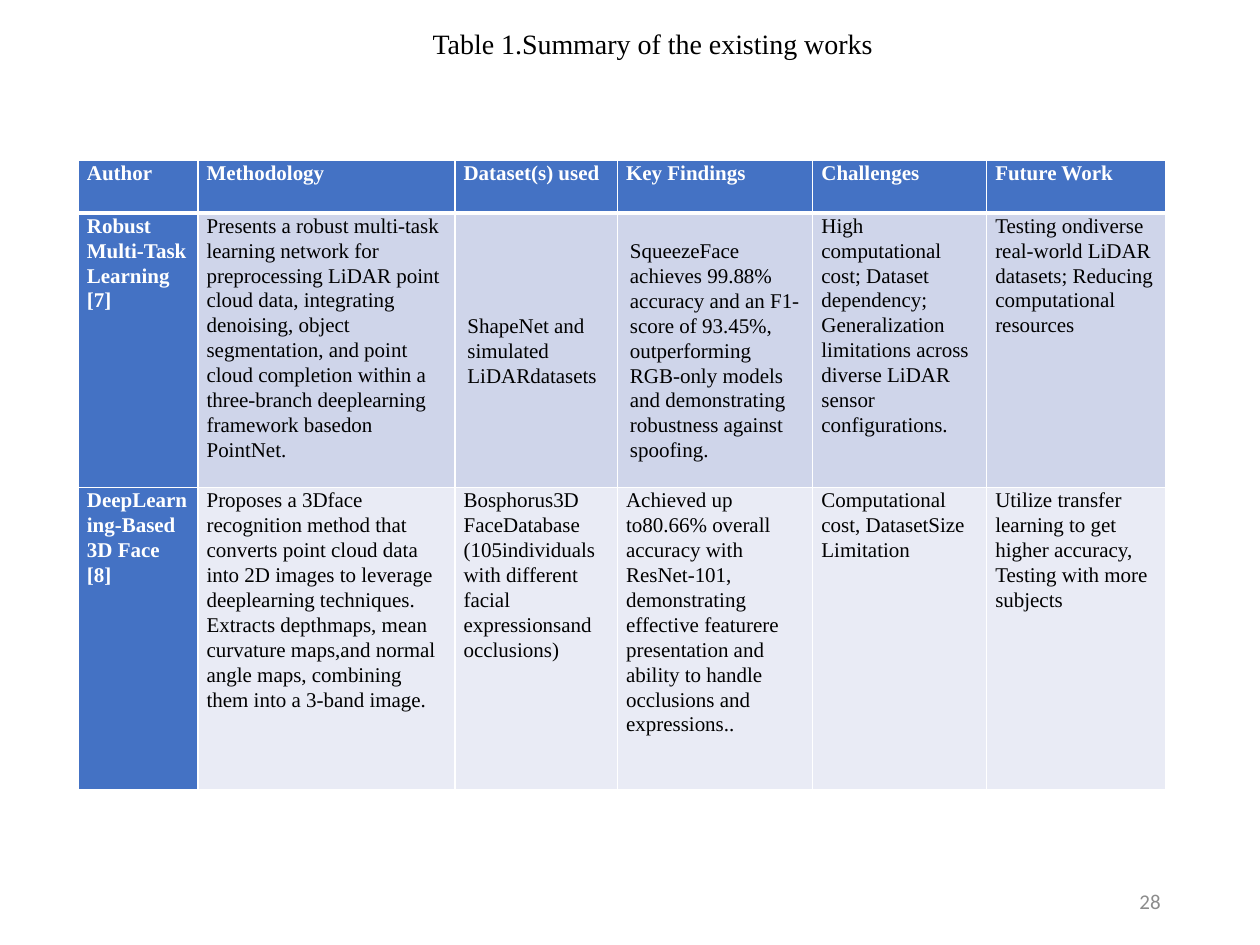
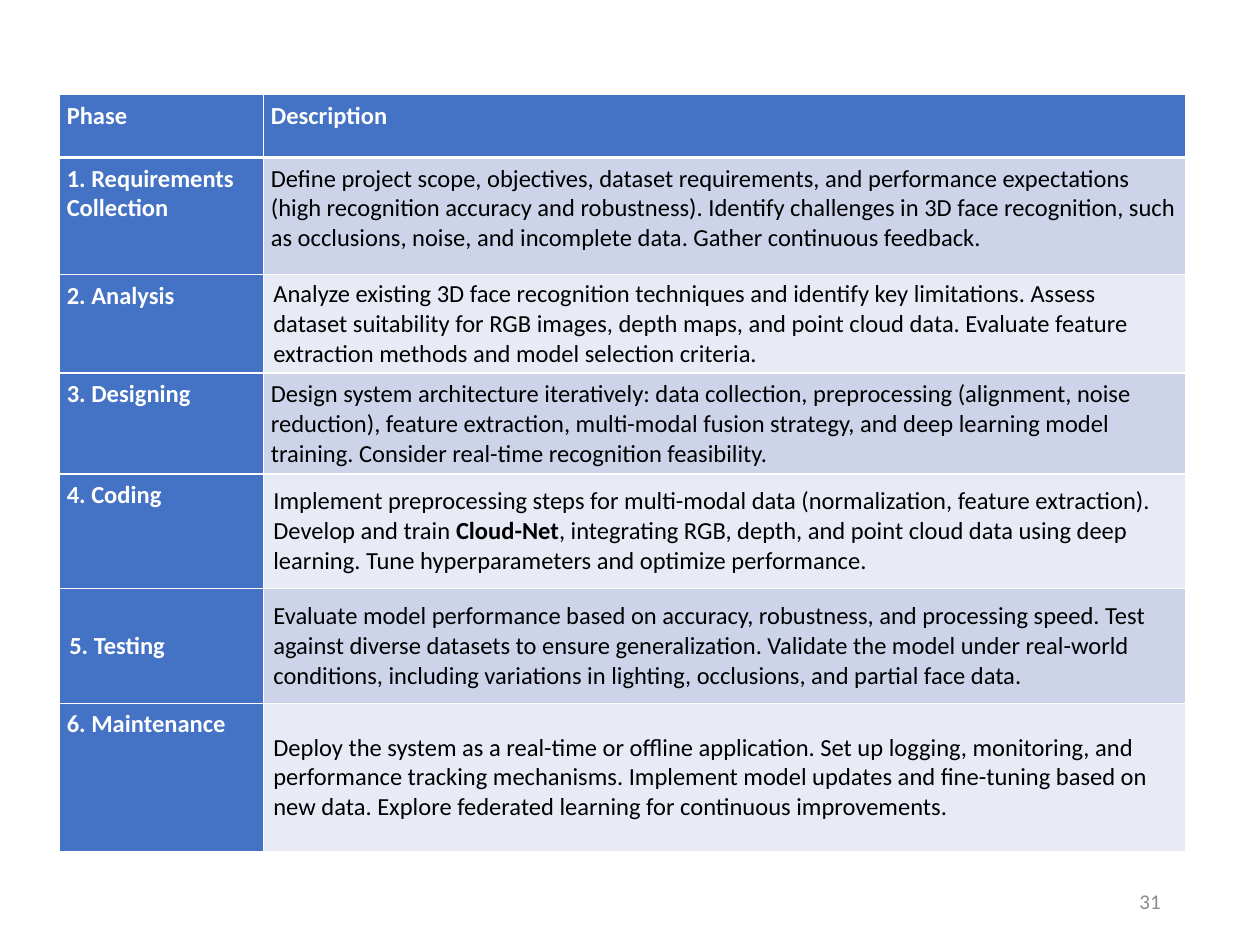
"""Build two table slides: a survey of earlier work and the project phases."""
from dataclasses import dataclass

from lxml.etree import SubElement as Sub
from pptx import Presentation as Deck
from pptx.dml.color import RGBColor as Rgb
from pptx.enum.text import MSO_ANCHOR as Anchor, PP_ALIGN as Align
from pptx.oxml.ns import qn
from pptx.util import Inches, Pt

HUE = {"head": "4472C4", "line": "FFFFFF", "light": "FFFFFF",
       "dark": "000000", "page": "8C8C8C"}
SERIF, SANS = "Times New Roman", "Calibri"


@dataclass
class Look:
    """Hold the style of one table."""
    font: str
    size: int
    bands: tuple
    rule: float
    top: tuple
    mid: tuple
    lead: float = 1
    after: int = 0


WORK = Look(SERIF, 12, ("CFD5EA", "E9EBF5"), 1, (0.07, 0), (0.1, 0.05), 1.07, 8)
PLAN = Look(SANS, 14, ("CDD4EA", "E8EBF5"), 0.8, (0.06, 0.05), (0.08, 0.04))

WORKS = [
    ["Author", "Methodology", "Dataset(s) used", "Key Findings", "Challenges",
     "Future Work"],
    ["Robust Multi-Task Learning [7]",
     "Presents a robust multi-task learning network for preprocessing LiDAR "
     "point cloud data, integrating denoising, object segmentation, and point "
     "cloud completion within a three-branch deeplearning framework basedon "
     "PointNet.",
     "ShapeNet and simulated LiDARdatasets",
     "SqueezeFace achieves 99.88% accuracy and an F1-score of 93.45%, "
     "outperforming RGB-only models and demonstrating robustness against "
     "spoofing.",
     "High computational cost; Dataset dependency; Generalization limitations "
     "across diverse LiDAR sensor configurations.",
     "Testing ondiverse real-world LiDAR datasets; Reducing computational "
     "resources"],
    ["DeepLearning-Based 3D Face [8]",
     "Proposes a 3Dface recognition method that converts point cloud data into "
     "2D images to leverage deeplearning techniques. Extracts depthmaps, mean "
     "curvature maps,and normal angle maps, combining them into a 3-band image.",
     "Bosphorus3D FaceDatabase (105individuals with different facial "
     "expressionsand occlusions)",
     "Achieved up to80.66% overall accuracy with ResNet-101, demonstrating "
     "effective featurere presentation and ability to handle occlusions and "
     "expressions..",
     "Computational cost, DatasetSize Limitation",
     "Utilize transfer learning to get higher accuracy, Testing with more "
     "subjects"],
]
PHASES = [
    ["Phase", "Description"],
    ["1. Requirements Collection",
     "Define project scope, objectives, dataset requirements, and performance "
     "expectations (high recognition accuracy and robustness). Identify "
     "challenges in 3D face recognition, such as occlusions, noise, and "
     "incomplete data. Gather continuous feedback."],
    ["2. Analysis",
     "Analyze existing 3D face recognition techniques and identify key "
     "limitations. Assess dataset suitability for RGB images, depth maps, and "
     "point cloud data. Evaluate feature extraction methods and model selection "
     "criteria."],
    ["3. Designing",
     "Design system architecture iteratively: data collection, preprocessing "
     "(alignment, noise reduction), feature extraction, multi-modal fusion "
     "strategy, and deep learning model training. Consider real-time recognition "
     "feasibility."],
    ["4. Coding",
     "Implement preprocessing steps for multi-modal data (normalization, feature "
     "extraction). Develop and train **Cloud-Net**, integrating RGB, depth, and "
     "point cloud data using deep learning. Tune hyperparameters and optimize "
     "performance."],
    ["5. Testing",
     "Evaluate model performance based on accuracy, robustness, and processing "
     "speed. Test against diverse datasets to ensure generalization. Validate the "
     "model under real-world conditions, including variations in lighting, "
     "occlusions, and partial face data."],
    ["6. Maintenance",
     "Deploy the system as a real-time or offline application. Set up logging, "
     "monitoring, and performance tracking mechanisms. Implement model updates "
     "and fine-tuning based on new data. Explore federated learning for "
     "continuous improvements."],
]


def style(run, font, size, hue, bold=False):
    """Set the font of a run."""
    run.font.name, run.font.size, run.font.bold = font, Pt(size), bold
    run.font.color.rgb = Rgb.from_string(HUE[hue])


def write(para, text, look, head):
    """Write cell text, with words between double stars in bold."""
    first, *rest = text.split("**")
    para.text = first
    for part in rest:
        para.add_run().text = part
    for i, run in enumerate(para.runs):
        style(run, look.font, look.size, "light" if head else "dark",
              head or i % 2 == 1)
    para.line_spacing, para.space_after = look.lead, Pt(look.after)


def edge(cell, widths):
    """Draw the left, right, top and bottom borders of a cell."""
    props = cell._tc.get_or_add_tcPr()
    for i, (side, width) in enumerate(zip("LRTB", widths)):
        line = Sub(props, qn(f"a:ln{side}"), w=str(Pt(width)))
        fill = Sub(line, qn("a:solidFill"))
        Sub(fill, qn("a:srgbClr"), val=HUE["line"])
        props.insert(i, line)


def paint(cell, row, col, text, look, mid):
    """Fill, frame and write one cell."""
    head = row == 0 or col == 0
    cell.fill.solid()
    hue = HUE["head"] if head else look.bands[(row - 1) % 2]
    cell.fill.fore_color.rgb = Rgb.from_string(hue)
    thin, thick = look.rule, look.rule * 3
    edge(cell, (thin, thin, thick if row == 1 else thin,
                thick if row == 0 else thin))
    side, end = look.mid if mid else look.top
    cell.margin_left = cell.margin_right = Inches(side)
    cell.margin_top = cell.margin_bottom = Inches(end)
    cell.vertical_anchor = Anchor.MIDDLE if mid else Anchor.TOP
    write(cell.text_frame.paragraphs[0], text, look, head)


def grid(slide, left, top, cols, rows, data, look, mids):
    """Add a table; mids names the cells centred from top to bottom."""
    box = (left, top, sum(cols), sum(rows))
    table = slide.shapes.add_table(len(rows), len(cols), *map(Inches, box)).table
    table.first_row = table.horz_banding = False
    for col, width in zip(table.columns, cols):
        col.width = Inches(width)
    for row, height in zip(table.rows, rows):
        row.height = Inches(height)
    for r, line in enumerate(data):
        for c, text in enumerate(line):
            paint(table.cell(r, c), r, c, text, look, (r, c) in mids)


def title(slide, text):
    """Write the table heading in the body placeholder."""
    head = slide.shapes.title._element
    head.getparent().remove(head)
    body = slide.placeholders[1]
    body.left, body.top = Inches(0.62), Inches(0.17)
    body.width, body.height = Inches(8.62), Inches(5.38)
    frame = body.text_frame
    frame.margin_left, frame.margin_top = Inches(0.6), Inches(0.07)
    frame.text = text
    para = frame.paragraphs[0]
    para.alignment, para.line_spacing = Align.CENTER, 0.9
    para.space_before = Pt(0)
    style(para.runs[0], SERIF, 16, "dark")
    props = para._p.get_or_add_pPr()
    props.set("marL", "0")
    props.set("indent", "0")
    Sub(props, qn("a:buNone"))


def page(slide, num):
    """Add the slide number."""
    box = slide.shapes.add_textbox(*map(Inches, (7.06, 6.95, 2.25, 0.4)))
    frame = box.text_frame
    frame.word_wrap, frame.vertical_anchor = True, Anchor.MIDDLE
    frame.text = str(num)
    para = frame.paragraphs[0]
    para.alignment = Align.RIGHT
    style(para.runs[0], SANS, 12, "page")


def main():
    """Build and save the deck."""
    deck = Deck()
    deck.slide_width, deck.slide_height = Inches(10), Inches(7.5)

    slide = deck.slides.add_slide(deck.slide_layouts[1])
    title(slide, "Table 1.Summary of the existing works")
    grid(slide, 0.62, 1.27, (0.95, 2.04, 1.29, 1.55, 1.38, 1.42),
         (0.42, 2.18, 2.4), WORKS, WORK, {(1, 2), (1, 3)})
    page(slide, 28)

    slide = deck.slides.add_slide(deck.slide_layouts[6])
    grid(slide, 0.47, 0.75, (1.62, 7.32),
         (0.5, 0.93, 0.71, 0.66, 0.91, 0.91, 1.18), PHASES, PLAN,
         {(2, 1), (4, 1), (5, 0), (5, 1), (6, 1)})
    page(slide, 31)

    deck.save("out.pptx")


if __name__ == "__main__":
    main()
